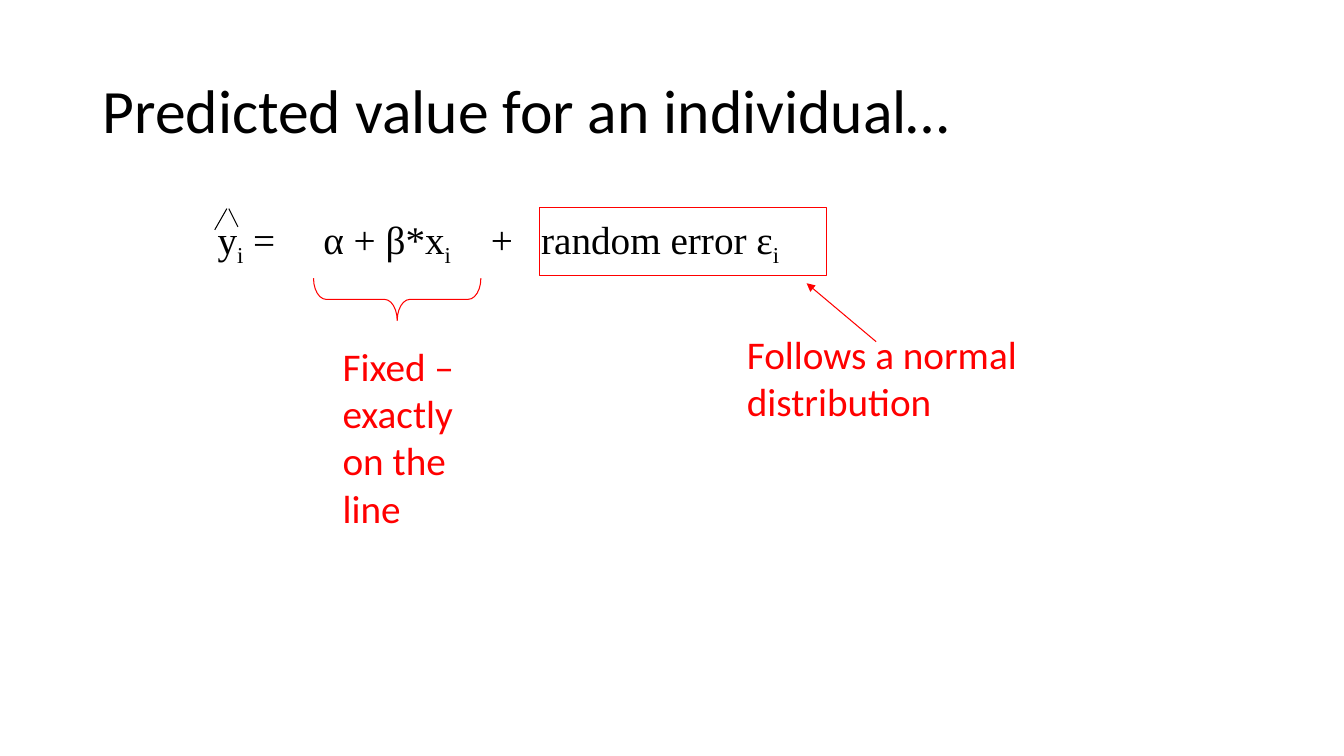
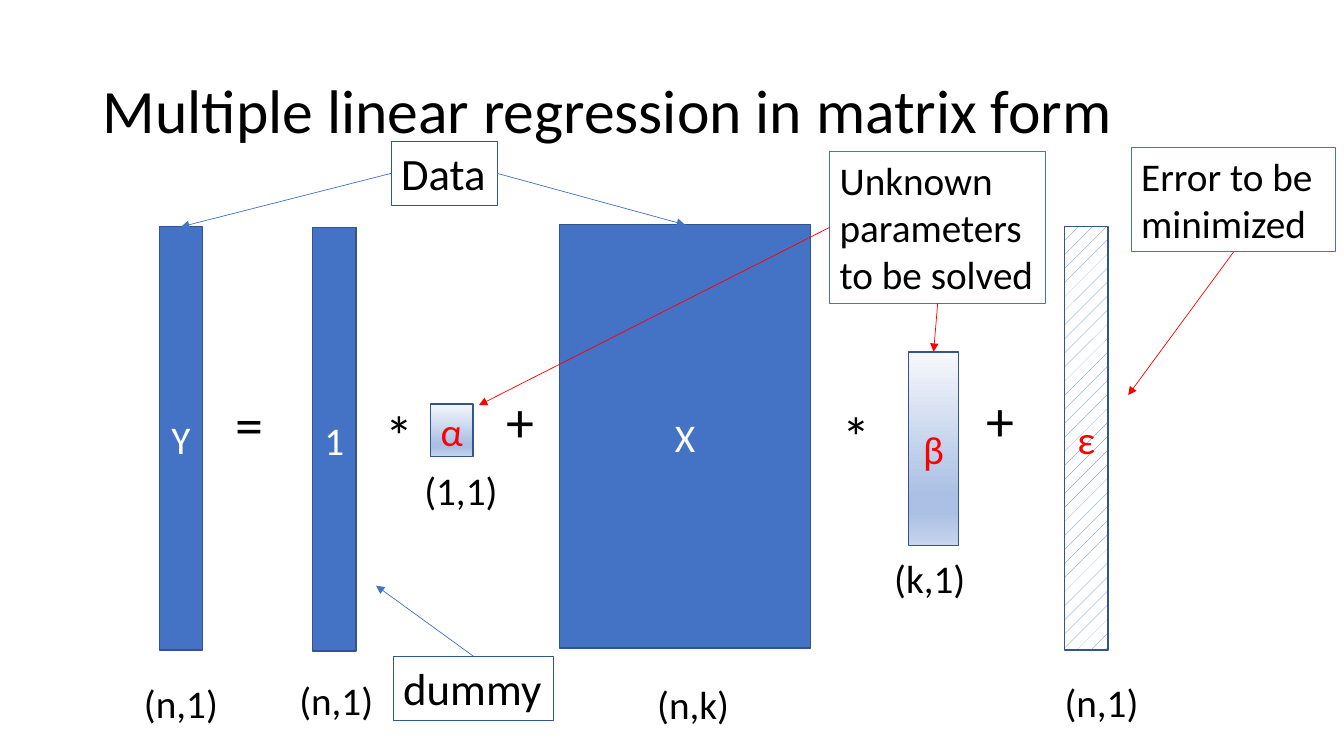
"""Build two slides on linear regression: a predicted value and the matrix form."""
import dataclasses
import typing

import lxml.etree
import pptx
import pptx.dml.color
import pptx.enum.dml
import pptx.enum.shapes
import pptx.enum.text
import pptx.oxml.ns
import pptx.util

Inches = pptx.util.Inches
Pt = pptx.util.Pt
qn = pptx.oxml.ns.qn
SHAPE = pptx.enum.shapes.MSO_SHAPE
ANCHOR = pptx.enum.text.MSO_ANCHOR
ALIGN = pptx.enum.text.PP_ALIGN
AUTO = pptx.enum.text.MSO_AUTO_SIZE

BLACK, WHITE, RED = "000000", "FFFFFF", "FF0000"
BLUE, DARK_BLUE = "4472C4", "325491"
GRADIENT_STOPS = ((0, "F6F8FC"), (74, "ABC0E4"), (83, "ABC0E4"), (100, "C7D5ED"))
TOP, LEFT, BOTTOM, RIGHT = range(4)
COLUMN_W, MATRIX_H = 0.43, 4.2


@dataclasses.dataclass(frozen=True)
class Box:
    text: str
    x: float
    y: float
    w: float
    h: float
    size: float = 28
    color: str = BLACK
    line: str = ""
    weight: float = 0.75
    fill: str = ""
    wrap: bool = False
    centred: bool = False


@dataclasses.dataclass(frozen=True)
class Arrow:
    start: str
    start_side: int
    color: str
    end: str = ""
    tip: tuple[float, float] = (0, 0)


def rgb(value: str) -> pptx.dml.color.RGBColor:
    return pptx.dml.color.RGBColor.from_string(value)


def style(target: typing.Any, formats: dict[str, typing.Any]) -> None:
    for name, value in formats.items():
        setattr(target, name, value)


def add_run(p: typing.Any, text: str, size: float, color: str,
            font: str = "Calibri", baseline: int = 0) -> None:
    r = p.add_run()
    r.text = text
    style(r.font, {"name": font, "size": Pt(size)})
    r.font.color.rgb = rgb(color)
    if baseline:
        r._r.get_or_add_rPr().set("baseline", str(baseline * 1000))


def set_fill(sp: typing.Any, fill: str) -> None:
    if fill == "gradient":
        sp.fill.gradient()
        sp.fill.gradient_angle = 270
        stops = sp._element.spPr.find(".//" + qn("a:gsLst"))
        for stop in list(stops):
            stops.remove(stop)
        for pos, color in GRADIENT_STOPS:
            stop = lxml.etree.SubElement(stops, qn("a:gs"), pos=str(pos * 1000))
            lxml.etree.SubElement(stop, qn("a:srgbClr"), val=color)
    elif fill == "pattern":
        sp.fill.patterned()
        sp.fill.pattern = pptx.enum.dml.MSO_PATTERN.PERCENT_5
        sp.fill.fore_color.rgb = rgb(BLUE)
        sp.fill.back_color.rgb = rgb(WHITE)
    elif fill:
        sp.fill.solid()
        sp.fill.fore_color.rgb = rgb(fill)
    else:
        sp.fill.background()


def add_outline(s: typing.Any, kind: typing.Any, x: float, y: float, w: float, h: float,
                color: str, weight: float, fill: str = "") -> typing.Any:
    sp = s.shapes.add_shape(kind, Inches(x), Inches(y), Inches(w), Inches(h))
    sp.shadow.inherit = False
    set_fill(sp, fill)
    sp.line.color.rgb = rgb(color)
    sp.line.width = Pt(weight)
    return sp


def add_box(s: typing.Any, box: Box) -> typing.Any:
    if box.line:
        sp = add_outline(s, SHAPE.RECTANGLE, box.x, box.y, box.w, box.h,
                         box.line, box.weight, box.fill)
    else:
        sp = s.shapes.add_textbox(Inches(box.x), Inches(box.y), Inches(box.w), Inches(box.h))
    style(sp.text_frame, {
        "word_wrap": box.wrap or box.centred,
        "auto_size": AUTO.NONE if box.centred else AUTO.SHAPE_TO_FIT_TEXT,
        "vertical_anchor": ANCHOR.MIDDLE if box.centred else ANCHOR.TOP,
    })
    p = sp.text_frame.paragraphs[0]
    p.alignment = ALIGN.CENTER if box.centred else ALIGN.LEFT
    add_run(p, box.text, box.size, box.color)
    return sp


def add_line(s: typing.Any, start: tuple[float, float], end: tuple[float, float],
             color: str, weight: float, arrow: bool = False) -> typing.Any:
    cn = s.shapes.add_connector(pptx.enum.shapes.MSO_CONNECTOR.STRAIGHT,
                                *(Inches(v) for v in (*start, *end)))
    cn.line.color.rgb = rgb(color)
    cn.line.width = Pt(weight)
    props = cn._element.spPr
    if arrow:
        lxml.etree.SubElement(props.find(qn("a:ln")), qn("a:tailEnd"), type="triangle")
    lxml.etree.SubElement(props, qn("a:effectLst"))
    return cn


def add_slide(prs: typing.Any, title: str) -> typing.Any:
    s = prs.slides.add_slide(prs.slide_layouts[6])
    tf = s.shapes.add_textbox(Inches(0.92), Inches(0.4), Inches(11.5), Inches(1.45)).text_frame
    style(tf, {"word_wrap": True, "vertical_anchor": ANCHOR.MIDDLE})
    tf.paragraphs[0].line_spacing = 0.9
    add_run(tf.paragraphs[0], title, 44, BLACK)
    return s


def add_formula(s: typing.Any) -> None:
    tf = s.shapes.add_textbox(Inches(2.06), Inches(2.09), Inches(11.5), Inches(4.76)).text_frame
    tf.word_wrap = True
    p = tf.paragraphs[0]
    p.line_spacing = 0.9
    tabs = lxml.etree.SubElement(p._p.get_or_add_pPr(), qn("a:tabLst"))
    for stop in (1.05, 2.71, 3.21):
        lxml.etree.SubElement(tabs, qn("a:tab"), pos=str(Inches(stop)), algn="l")
    for text in ("y", " =\tα + β*x", "\t+\trandom error ε"):
        add_run(p, text, 28, BLACK, "Times New Roman")
        add_run(p, "i", 28, BLACK, "Times New Roman", -25)


def build_predicted(prs: typing.Any) -> None:
    s = add_slide(prs, "Predicted value for an individual…")
    add_formula(s)
    add_outline(s, SHAPE.RECTANGLE, 5.35, 2.06, 2.85, 0.67, RED, 0.75)
    brace = add_outline(s, SHAPE.LEFT_BRACE, 3.73, 2.14, 0.42, 1.66, RED, 0.75)
    brace.rotation = 270
    brace.adjustments[0] = 0.3
    add_box(s, Box("Follows a normal distribution", 7.31, 3.23, 2.95, 1.03, color=RED, wrap=True))
    add_box(s, Box("Fixed – exactly on the line", 3.3, 3.35, 1.57, 1.97, color=RED, wrap=True))
    add_line(s, (8.69, 3.39), (8, 2.81), RED, 0.75, arrow=True)
    add_line(s, (2.13, 2.28), (2.25, 2.07), BLACK, 0.75)
    add_line(s, (2.27, 2.07), (2.36, 2.25), BLACK, 0.75)


def matrix(text: str, x: float, y: float, w: float = COLUMN_W, h: float = MATRIX_H,
           color: str = WHITE, fill: str = BLUE) -> Box:
    return Box(text, x, y, w, h, color=color, line=DARK_BLUE, weight=1, fill=fill, centred=True)


MATRICES = (
    matrix("X", 5.55, 2.23, w=2.49),
    matrix("Y", 1.58, 2.25),
    matrix("1", 3.1, 2.26),
    matrix("ε", 10.56, 2.25, color=RED, fill="pattern"),
    matrix("β", 9.01, 3.49, 0.5, 1.92, RED, "gradient"),
    matrix("α", 4.27, 4.01, 0.42, 0.52, RED, "gradient"),
)
OPERATORS = (("=", 2.24, 3.82), ("*", 3.73, 3.92), ("+", 4.93, 3.79),
             ("*", 8.26, 3.93), ("+", 9.69, 3.78))
DIMENSIONS = (("(n,1)", 1.33, 6.69), ("(n,1)", 2.87, 6.66), ("(1,1)", 4.11, 4.58),
              ("(n,k)", 6.42, 6.7), ("(k,1)", 8.77, 5.45), ("(n,1)", 10.46, 6.68))
CALLOUTS = (
    Box("Data", 3.88, 1.4, 1.05, 0.64, 32, line=DARK_BLUE),
    Box("dummy", 3.9, 6.51, 1.59, 0.64, 32, line=DARK_BLUE),
    Box("Unknown parameters to be solved", 8.23, 1.5, 2.14, 1.51, line=BLUE, wrap=True),
    Box("Error to be minimized", 11.22, 1.46, 2.03, 1.04, line=BLUE, wrap=True),
)
ARROWS = (
    Arrow("Data", RIGHT, BLUE, end="X"),
    Arrow("Data", LEFT, BLUE, end="Y"),
    Arrow("dummy", TOP, BLUE, tip=(3.73, 5.81)),
    Arrow("Unknown parameters to be solved", LEFT, RED, tip=(4.75, 4.02)),
    Arrow("Unknown parameters to be solved", BOTTOM, RED, end="β"),
    Arrow("Error to be minimized", BOTTOM, RED, tip=(11.19, 3.92)),
)


def build_matrix_form(prs: typing.Any) -> None:
    s = add_slide(prs, "Multiple linear regression in matrix form")
    shapes = {box.text: add_box(s, box) for box in MATRICES}
    for text, x, y in OPERATORS:
        add_box(s, Box(text, x, y, 0.48, 0.77, 40))
    for text, x, y in DIMENSIONS:
        add_box(s, Box(text, x, y, 0.94, 0.57))
    shapes.update((box.text, add_box(s, box)) for box in CALLOUTS)
    for arrow in ARROWS:
        cn = add_line(s, (0, 0), arrow.tip, arrow.color, 0.5, arrow=True)
        cn.begin_connect(shapes[arrow.start], arrow.start_side)
        if arrow.end:
            cn.end_connect(shapes[arrow.end], TOP)


def main() -> None:
    prs = pptx.Presentation()
    style(prs, {"slide_width": Inches(13.33), "slide_height": Inches(7.5)})
    build_predicted(prs)
    build_matrix_form(prs)
    prs.save("out.pptx")


if __name__ == "__main__":
    main()
